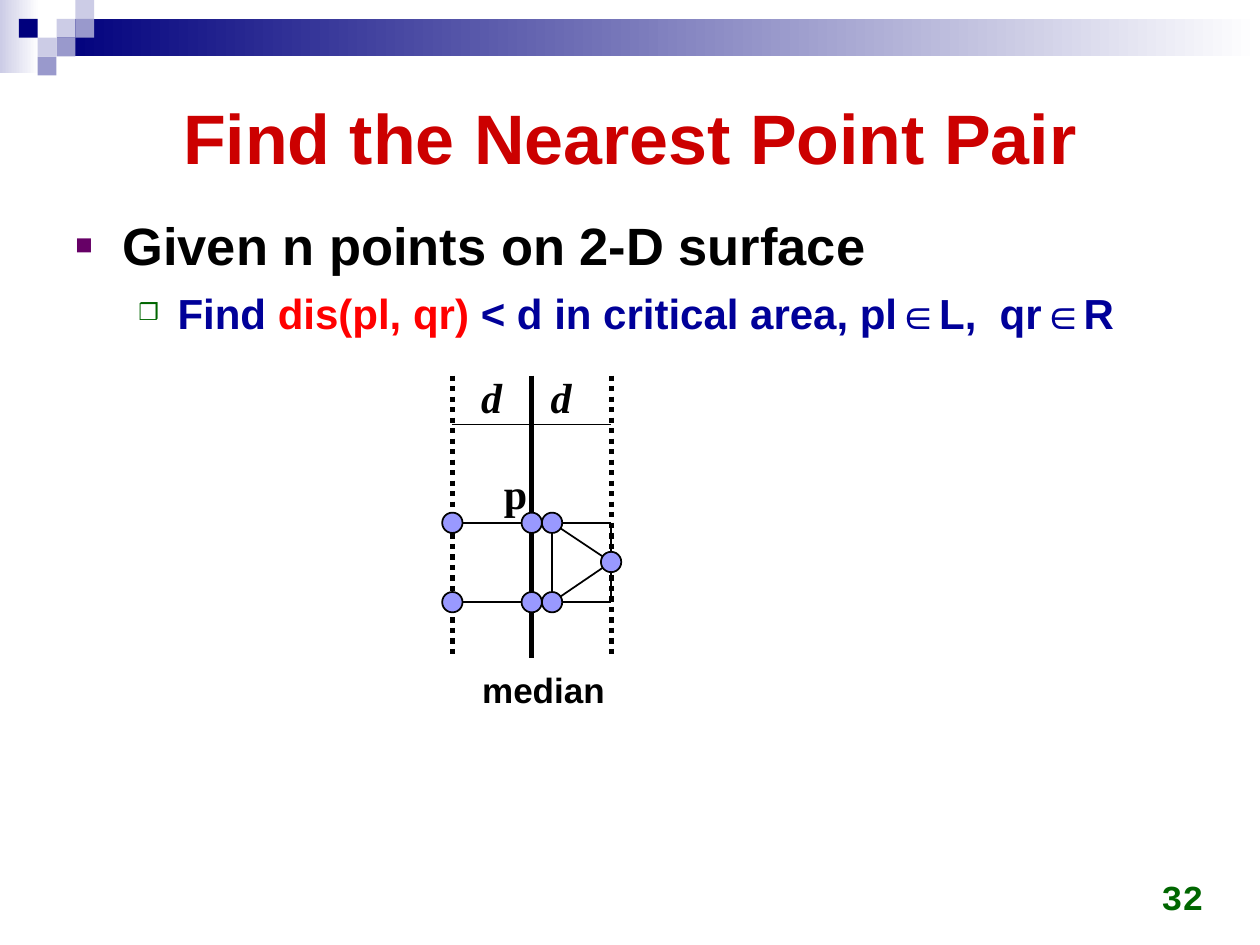
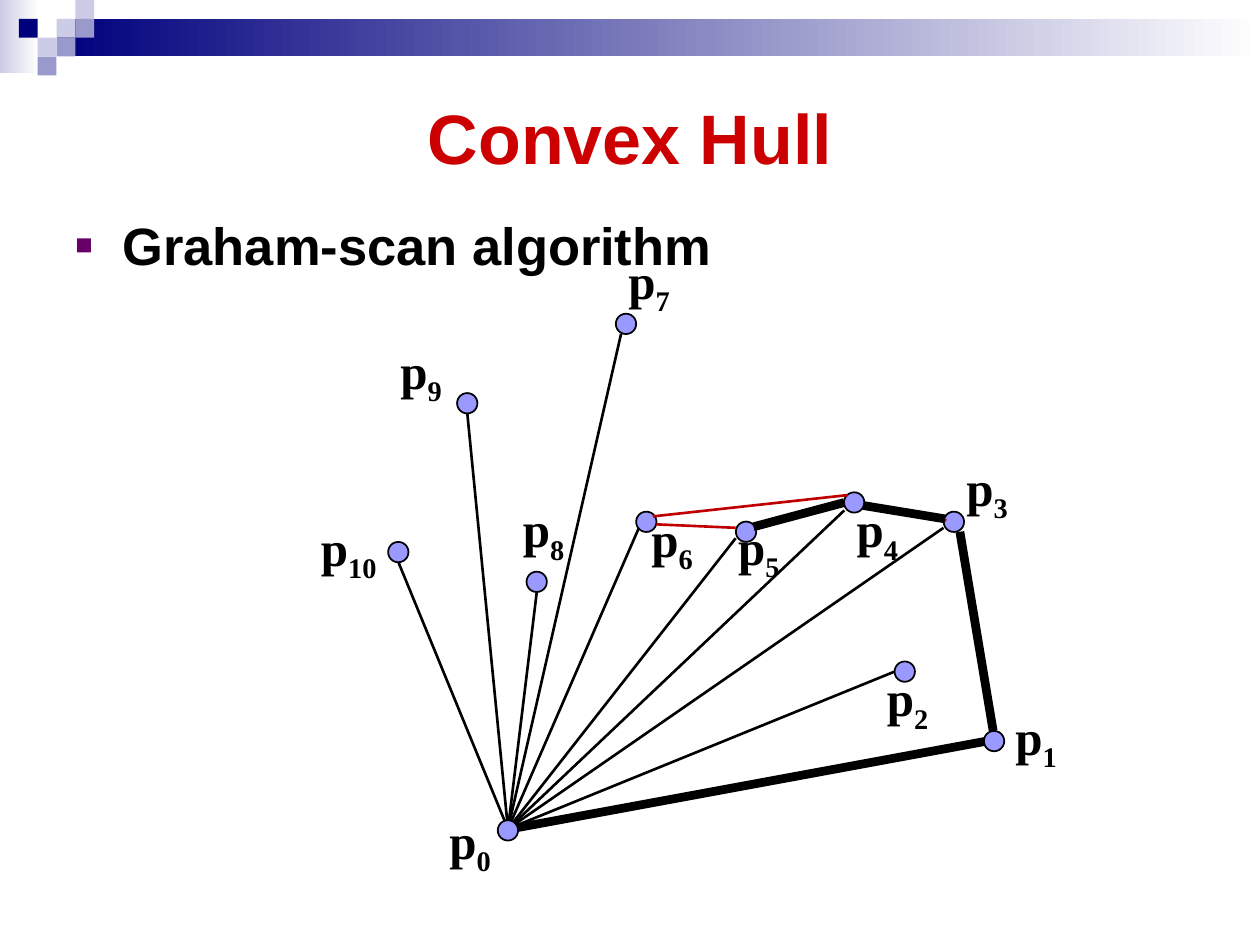
from lxml import etree
from pptx import Presentation
from pptx.dml.color import RGBColor
from pptx.enum.dml import MSO_LINE
from pptx.enum.shapes import MSO_CONNECTOR, MSO_SHAPE
from pptx.enum.text import MSO_ANCHOR, PP_ALIGN
from pptx.oxml.ns import qn
from pptx.util import Cm, Pt

STRAIGHT = MSO_CONNECTOR.STRAIGHT
RECTANGLE, OVAL = MSO_SHAPE.RECTANGLE, MSO_SHAPE.OVAL
DOTTED = MSO_LINE.ROUND_DOT
TOP, MIDDLE, BOTTOM = MSO_ANCHOR.TOP, MSO_ANCHOR.MIDDLE, MSO_ANCHOR.BOTTOM
LEFT, CENTER, RIGHT = PP_ALIGN.LEFT, PP_ALIGN.CENTER, PP_ALIGN.RIGHT

BLACK = RGBColor(0x00, 0x00, 0x00)
WHITE = RGBColor(0xFF, 0xFF, 0xFF)
NAVY = RGBColor(0x00, 0x00, 0x7D)
LAVENDER = RGBColor(0xCC, 0xCC, 0xE6)
VIOLET = RGBColor(0x99, 0x99, 0xCC)
DOT_BLUE = RGBColor(0x99, 0x99, 0xFF)
TITLE_RED = RGBColor(0xCC, 0x00, 0x00)
EDGE_RED = RGBColor(0xC0, 0x00, 0x00)
BRIGHT_RED = RGBColor(0xFF, 0x00, 0x00)
TEXT_BLUE = RGBColor(0x00, 0x00, 0x99)
PURPLE = RGBColor(0x66, 0x00, 0x66)
GREEN = RGBColor(0x00, 0x66, 0x00)

SANS, SERIF, MONO = "Arial", "Times New Roman", "Courier New"
CELL = 0.38
DOT_SIZE = 0.41

# Corner mosaic: column, row, colour
MOSAIC = [(3, 1, LAVENDER), (4, 0, LAVENDER), (4, 1, VIOLET), (2, 2, LAVENDER),
          (1, 1, NAVY), (3, 2, VIOLET), (2, 3, VIOLET)]

# Hull points p0 to p10: centre, left top of the label, end of the ray from p0
HULL_POINTS = [
    ((10.24, 16.74), (8.81, 16.21), None),
    ((20.04, 14.94), (20.22, 14.12), (19.84, 14.94)),
    ((18.24, 13.54), (17.63, 13.34), (18.03, 13.54)),
    ((19.23, 10.52), (19.23, 9.09), (19.02, 10.64)),
    ((17.22, 10.13), (17.02, 9.93), (17.02, 10.29)),
    ((15.04, 10.72), (14.63, 10.29), (14.83, 10.85)),
    ((13.03, 10.52), (12.88, 10.13), (12.88, 10.64)),
    ((12.62, 6.53), (12.42, 4.93), (12.52, 6.73)),
    ((10.82, 11.73), (10.29, 9.93), (10.82, 11.94)),
    ((9.42, 8.13), (7.82, 6.73), (9.42, 8.33)),
    ((8.03, 11.13), (6.22, 10.31), (8.03, 11.33)),
]
RAY_START = (10.24, 16.71)
BASE_EDGE = ((10.29, 16.71), (19.89, 14.94))
HULL_EDGES = [((19.35, 10.72), (20.02, 14.73)),
              ((17.4, 10.19), (19.05, 10.46)),
              ((15.19, 10.62), (17.02, 10.13))]
TESTED_EDGES = [((13.23, 10.57), (14.83, 10.64)),
                ((13.16, 10.41), (17.09, 9.98)),
                ((17.42, 10.24), (19.08, 10.49)),
                ((15.21, 10.67), (17.02, 10.16))]


# Element builders; all lengths in centimetres
def add_solid(page, kind, left, top, width, height, fill, outline=None):
    shape = page.shapes.add_shape(kind, Cm(left), Cm(top), Cm(width), Cm(height))
    shape.shadow.inherit = False
    shape.fill.solid()
    shape.fill.fore_color.rgb = fill
    if outline is None:
        shape.line.fill.background()
    else:
        shape.line.color.rgb = outline
        shape.line.width = Pt(1)
    return shape


def add_fade(page, left, top, width, height, color):
    """Band that fades to white from left to right."""
    band = add_solid(page, RECTANGLE, left, top, width, height, color)
    band.fill.gradient()
    band.fill.gradient_angle = 0
    for stop, shade, position in zip(band.fill.gradient_stops, (color, WHITE), (0, 1)):
        stop.color.rgb = shade
        stop.position = position


def add_dot(page, center):
    x, y = center
    add_solid(page, OVAL, x - DOT_SIZE / 2, y - DOT_SIZE / 2, DOT_SIZE, DOT_SIZE,
              DOT_BLUE, outline=BLACK)


def add_line(page, start, end, width=1, color=BLACK, dash=None):
    line = page.shapes.add_connector(STRAIGHT, *(Cm(value) for value in (*start, *end)))
    line.line.color.rgb = color
    line.line.width = Pt(width)
    if dash is not None:
        line.line.dash_style = dash
    etree.SubElement(line._element.spPr, qn("a:effectLst"))


def add_span(para, text, size, color=BLACK, font=SANS, italic=False, subscript=False):
    span = para.add_run()
    span.text = text
    span.font.name = font
    span.font.size = Pt(size)
    span.font.bold = True
    span.font.italic = italic
    span.font.color.rgb = color
    if subscript:
        span.font._element.set("baseline", "-25000")


def add_box(page, left, top, width, height, wrap=True, anchor=TOP):
    box = page.shapes.add_textbox(Cm(left), Cm(top), Cm(width), Cm(height))
    box.text_frame.word_wrap = wrap
    box.text_frame.vertical_anchor = anchor
    return box.text_frame


def add_text(page, text, left, top, width, height, size, align=LEFT, anchor=TOP,
             wrap=False, **style):
    para = add_box(page, left, top, width, height, wrap, anchor).paragraphs[0]
    para.alignment = align
    add_span(para, text, size, **style)
    return para


def format_bullet(para, symbol, color, size, margin, hanging):
    para.line_spacing = 1.05
    para.space_before = Pt(size * 0.2)
    properties = para._p.get_or_add_pPr()
    properties.set("marL", str(Cm(margin)))
    properties.set("indent", str(-Cm(hanging)))
    bullet_color = etree.SubElement(properties, qn("a:buClr"))
    etree.SubElement(bullet_color, qn("a:srgbClr"), val=str(color))
    etree.SubElement(properties, qn("a:buSzPct"), val="55000")
    etree.SubElement(properties, qn("a:buFont"), typeface=SANS)
    etree.SubElement(properties, qn("a:buChar"), char=symbol)


# Parts shared by the slides
def add_page(deck, title, heading, detail=()):
    page = deck.slides.add_slide(deck.slide_layouts[6])
    add_fade(page, 0, 0, 0.79, 1.47, LAVENDER)
    add_fade(page, 3 * CELL, CELL, 25.4 - 3 * CELL, 2 * CELL, NAVY)
    for column, row, color in MOSAIC:
        add_solid(page, RECTANGLE, column * CELL, row * CELL, CELL, CELL, color)
    add_text(page, title, 1.27, 1.27, 22.86, 2.95, 40, align=CENTER, anchor=MIDDLE,
             wrap=True, color=TITLE_RED)

    body = add_box(page, 1.27, 4.11, 22.86, 13.21)
    para = body.paragraphs[0]
    format_bullet(para, "■", PURPLE, 30, 0.95, 0.95)
    add_span(para, heading, 30)
    if detail:
        para = body.add_paragraph()
        para.level = 1
        format_bullet(para, "❒", GREEN, 24, 2.06, 0.79)
        for text, color in detail:
            add_span(para, text, 24, color=color)
    return page


def draw_critical_area(page):
    left, median, near, right = 9.12, 10.72, 11.13, 12.32
    upper, middle, lower = 10.54, 11.33, 12.14

    # Strip of width d on each side of the median
    for x, dash in ((left, DOTTED), (median, None), (right, DOTTED)):
        add_line(page, (x, 7.57), (x, 13.26), width=3, dash=dash)
    add_line(page, (left, 8.56), (right, 8.56))
    add_text(page, "median", 9.47, 13.36, 3, 1.12, 20)
    add_text(page, "p", 9.91, 9.3, 0.99, 1.3, 24, font=SERIF)
    for x in (9.45, 10.85):
        add_text(page, "d", x, 7.37, 0.94, 1.3, 24, font=SERIF, italic=True)

    # Rectangle and the triangle inside its right half
    for y in (upper, lower):
        add_line(page, (left, y), (right, y))
        add_line(page, (near, y), (right, middle))
    for x in (near, right):
        add_line(page, (x, upper), (x, lower))

    for x in (left, median, near):
        for y in (upper, lower):
            add_dot(page, (x, y))
    add_dot(page, (right, middle))


def draw_hull(page):
    for center, _, _ in HULL_POINTS[2:]:
        add_dot(page, center)
    for number, (_, (x, y), _) in enumerate(HULL_POINTS):
        width = 1.73 if number > 9 else 1.4
        para = add_text(page, "p", x, y, width, 1.45, 28, font=SERIF)
        add_span(para, str(number), 28, font=SERIF, subscript=True)
    for _, _, ray_end in HULL_POINTS[1:]:
        add_line(page, RAY_START, ray_end, width=1.5)

    # Edges of the hull over the edges tested by the scan
    add_line(page, *BASE_EDGE, width=5)
    for center, _, _ in HULL_POINTS[:2]:
        add_dot(page, center)
    for edge in TESTED_EDGES:
        add_line(page, *edge, width=1.5, color=EDGE_RED)
    for edge in HULL_EDGES:
        add_line(page, *edge, width=5)


def main():
    deck = Presentation()
    deck.slide_width, deck.slide_height = Cm(25.4), Cm(19.05)

    page = add_page(deck, "Find the Nearest Point Pair", "Given n points on 2-D surface",
                    [("Find ", TEXT_BLUE), ("dis(pl, qr) ", BRIGHT_RED),
                     ("< d in critical area, pl∈L,  qr∈R", TEXT_BLUE)])
    add_text(page, "32", 18.59, 17.35, 5.92, 1.27, 20, align=RIGHT, anchor=BOTTOM,
             wrap=True, color=GREEN, font=MONO)
    draw_critical_area(page)

    page = add_page(deck, "Convex Hull", "Graham-scan algorithm")
    draw_hull(page)

    deck.save("out.pptx")


if __name__ == "__main__":
    main()
